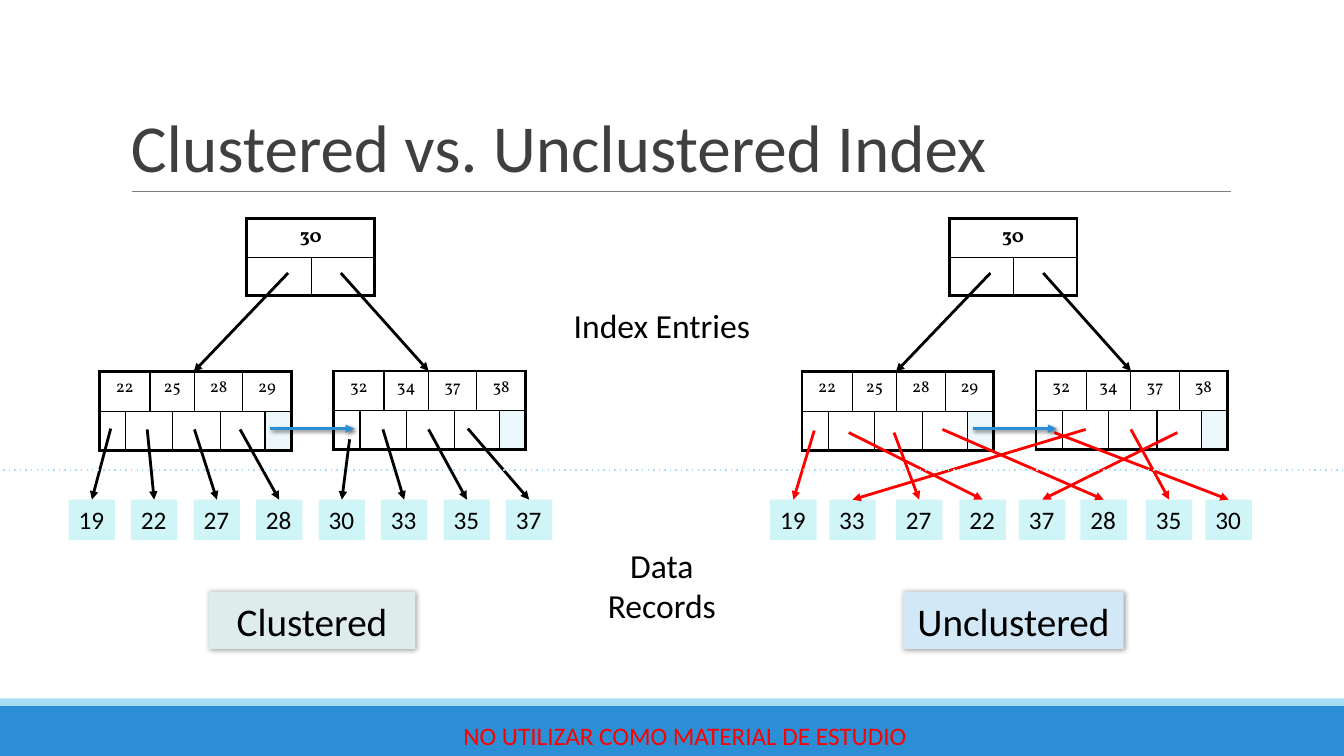
from dataclasses import dataclass

from pptx import Presentation
from pptx.dml.color import RGBColor
from pptx.enum.shapes import MSO_CONNECTOR, MSO_SHAPE
from pptx.enum.text import MSO_ANCHOR, PP_ALIGN
from pptx.oxml.ns import qn
from pptx.oxml.xmlchemy import OxmlElement
from pptx.util import Cm, Pt


@dataclass(frozen=True)
class Theme:
    body_font: str = "Calibri"
    key_font: str = "Vollkorn"
    black: str = "000000"
    red: str = "FF0000"
    title: str = "3F3F3F"
    rule: str = "7F7F7F"
    blue: str = "2C8ED5"
    pale_blue: str = "A8DFF3"
    record: str = "D0F5F6"
    spare_cell: str = "ECF8FC"
    clustered: str = "DFECEC"
    unclustered: str = "D3E8F6"
    title_size: int = 48
    label_size: int = 28
    caption_size: int = 24
    record_size: int = 18
    root_size: int = 14
    leaf_size: int = 12


theme = Theme()
presentation = Presentation()
presentation.slide_width = Cm(33.87)
presentation.slide_height = Cm(19.05)
slide = presentation.slides.add_slide(presentation.slide_layouts[6])


def add_box(left, top, width, height, text="", size=theme.record_size, fill=None,
            color=theme.black, align=PP_ALIGN.CENTER, anchor=MSO_ANCHOR.MIDDLE):
    area = Cm(left), Cm(top), Cm(width), Cm(height)
    if fill:
        shape = slide.shapes.add_shape(MSO_SHAPE.RECTANGLE, *area)
        shape.shadow.inherit = False
        shape.fill.solid()
        shape.fill.fore_color.rgb = RGBColor.from_string(fill)
        shape.line.fill.background()
    else:
        shape = slide.shapes.add_textbox(*area)
    if text:
        frame = shape.text_frame
        frame.word_wrap = True
        frame.vertical_anchor = anchor
        paragraph = frame.paragraphs[0]
        paragraph.text = text
        paragraph.alignment = align
        paragraph.font.name = theme.body_font
        paragraph.font.size = Pt(size)
        paragraph.font.color.rgb = RGBColor.from_string(color)
    return shape


def add_line(start, end, color, width=2, ending="tailEnd", value="triangle"):
    connector = slide.shapes.add_connector(
        MSO_CONNECTOR.STRAIGHT, *(Cm(length) for length in start + end))
    connector.line.color.rgb = RGBColor.from_string(color)
    connector.line.width = Pt(width)
    if ending:
        element = OxmlElement(f"a:{ending}")
        element.set("type" if ending == "tailEnd" else "val", value)
        connector.line._get_or_add_ln().append(element)
    connector._element.spPr.append(OxmlElement("a:effectLst"))
    return connector


add_box(0, 17.78, 33.87, 1.27, fill=theme.blue)
add_box(0, 17.6, 33.87, 0.18, fill=theme.pale_blue)
add_line((3.33, 4.82), (31.01, 4.82), theme.rule, 0.75, None)
add_box(10.57, 18.03, 13.39, 1.02, "NO UTILIZAR COMO MATERIAL DE ESTUDIO", color=theme.red)
title = add_box(3.05, 0.79, 27.94, 4.04, "Clustered vs. Unclustered Index", theme.title_size,
                color=theme.title, align=PP_ALIGN.LEFT, anchor=MSO_ANCHOR.BOTTOM)
title.text_frame.paragraphs[0].line_spacing = 0.85

root_columns = [1.62, 1.6]
leaf_columns = [0.66, 0.56, 0.56, 0.56, 0.66, 0.56, 0.56, 0.66]
nodes = [
    (6.22, 5.51, root_columns, 0.97, ["30"], theme.root_size),
    (2.51, 9.37, leaf_columns, 0.99, ["22", "25", "28", "29"], theme.leaf_size),
    (8.41, 9.35, leaf_columns, 0.99, ["32", "34", "37", "38"], theme.leaf_size),
]
clustered_records = [
    ("19", 1.73, 2.79, 10.8), ("22", 3.3, 3.71, 10.82),
    ("27", 4.88, 4.9, 10.82), ("28", 6.45, 6.05, 10.82),
    ("30", 8.03, 8.81, 11.07), ("33", 9.6, 9.65, 10.82),
    ("35", 11.18, 10.8, 10.82), ("37", 12.75, 11.79, 10.8),
]
unclustered_records = [
    ("19", 19.41, 20.52, 10.85), ("33", 20.9, 27.36, 10.82),
    ("27", 22.58, 22.53, 10.9), ("22", 24.18, 21.39, 10.9),
    ("37", 25.68, 29.67, 10.9), ("28", 27.23, 23.75, 10.82),
    ("35", 28.88, 28.5, 10.82), ("30", 30.38, 26.57, 10.9),
]
shadowed = []

for offset, records, record_arrow_color in [
    (0, clustered_records, theme.black),
    (17.7, unclustered_records, theme.red),
]:
    for left, top, columns, row_height, keys, size in nodes:
        count = len(columns)
        table = slide.shapes.add_table(
            2, count, Cm(left + offset), Cm(top), Cm(sum(columns)), Cm(2 * row_height)).table
        table.first_row = False
        table.horz_banding = False
        for column, width in zip(table.columns, columns):
            column.width = Cm(width)
        for row in table.rows:
            row.height = Cm(row_height)
        for index, key in enumerate(keys):
            table.cell(0, 2 * index).merge(table.cell(0, 2 * index + 1))
            table.cell(0, 2 * index).text = key
        for first in range(1, count - 1, 2):
            table.cell(1, first).merge(table.cell(1, first + 1))
        for row_index in range(2):
            for column_index in range(count):
                cell = table.cell(row_index, column_index)
                if cell.is_spanned:
                    continue
                last = column_index + (cell.span_width if cell.is_merge_origin else 1)
                outer_sides = {"lnL": column_index == 0, "lnR": last == count,
                               "lnT": row_index == 0, "lnB": row_index == 1}
                for side, is_outer in outer_sides.items():
                    border = OxmlElement(f"a:{side}")
                    border.set("w", str(Pt(2.25 if is_outer else 1)))
                    solid = OxmlElement("a:solidFill")
                    border_color = OxmlElement("a:srgbClr")
                    border_color.set("val", theme.black)
                    solid.append(border_color)
                    border.append(solid)
                    cell._tc.get_or_add_tcPr().append(border)
                if row_index == 1 and last == count and columns is leaf_columns:
                    cell.fill.solid()
                    cell.fill.fore_color.rgb = RGBColor.from_string(theme.spare_cell)
                else:
                    cell.fill.background()
                paragraph = cell.text_frame.paragraphs[0]
                paragraph.alignment = PP_ALIGN.CENTER
                paragraph.font.name = theme.key_font
                paragraph.font.size = Pt(size)
                paragraph.font.bold = columns is root_columns
                paragraph.font.color.rgb = RGBColor.from_string(theme.black)

    add_line((7.26 + offset, 6.88), (4.88 + offset, 9.37), theme.black)
    add_line((8.59 + offset, 6.88), (10.8 + offset, 9.35), theme.black)
    for value, left, start_left, start_top in records:
        record = add_box(left, 12.59, 1.17, 1.02, value, fill=theme.record, align=PP_ALIGN.LEFT)
        arrow = add_line((start_left, start_top), (left + 0.58, 12.59), record_arrow_color)
        arrow.end_connect(record, 0)
    leaf_link = add_line((6.81 + offset, 10.8), (8.92 + offset, 10.8), theme.blue)
    shadowed.append((leaf_link, 60, 3, 2))

for left, width, text, fill in [
    (5.26, 5.21, "Clustered", theme.clustered),
    (22.76, 5.56, "Unclustered", theme.unclustered),
]:
    label = add_box(left, 14.91, width, 1.45, text, theme.label_size, fill)
    shadowed.append((label, 40, 4, 1))

for shape, opacity, blur, distance in shadowed:
    shadow = OxmlElement("a:outerShdw")
    shadow.set("blurRad", str(Pt(blur)))
    shadow.set("dist", str(Pt(distance)))
    shadow.set("dir", str(45 * 60000))
    shadow_color = OxmlElement("a:srgbClr")
    shadow_color.set("val", theme.black)
    alpha = OxmlElement("a:alpha")
    alpha.set("val", str(opacity * 1000))
    shadow_color.append(alpha)
    shadow.append(shadow_color)
    shape._element.spPr.find(qn("a:effectLst")).append(shadow)

add_line((0.08, 11.84), (33.96, 11.84), theme.pale_blue, 1, "prstDash", "dot")
for top, text in [(7.57, "Index Entries"), (13.61, "Data Records")]:
    add_box(14.18, top, 5, 1.27, text, theme.caption_size, anchor=MSO_ANCHOR.TOP)

presentation.save("out.pptx")
